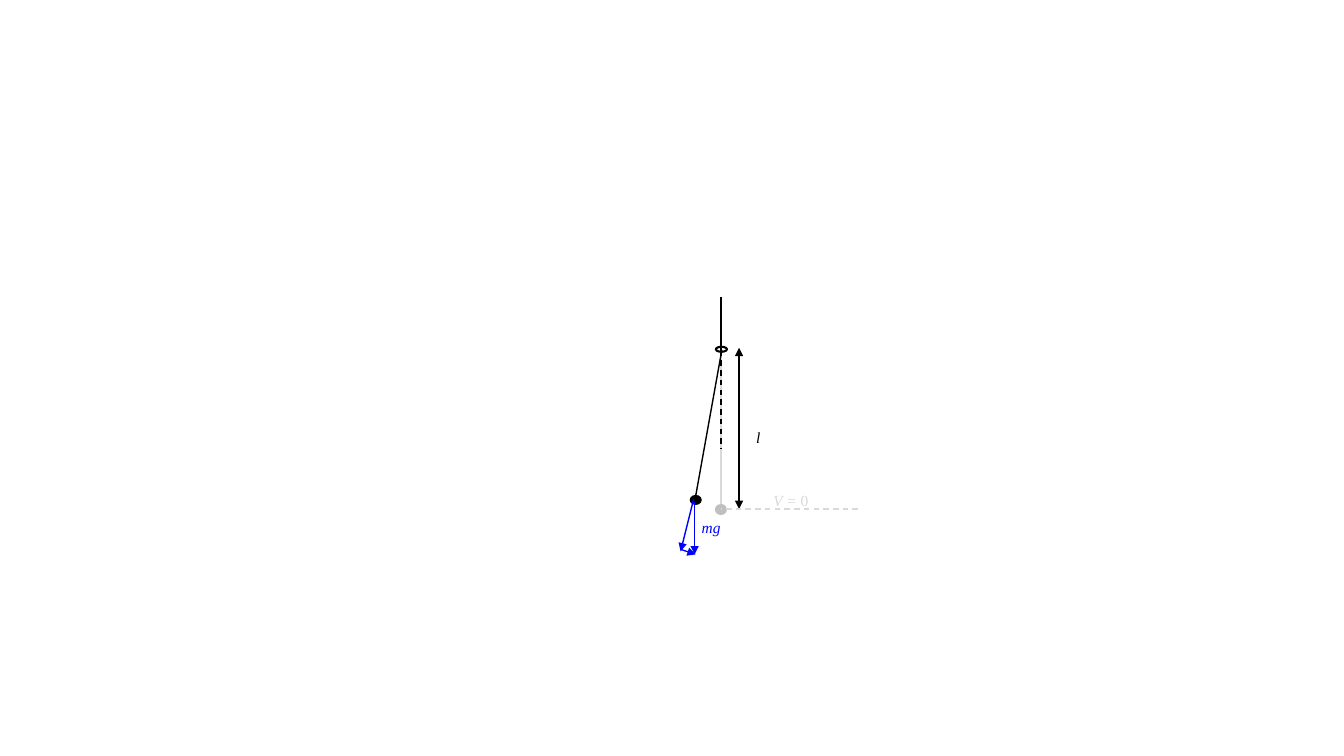
from lxml.etree import SubElement
from pptx import Presentation
from pptx.dml.color import RGBColor
from pptx.enum.dml import MSO_LINE
from pptx.enum.shapes import MSO_CONNECTOR, MSO_SHAPE
from pptx.enum.text import MSO_AUTO_SIZE
from pptx.oxml.ns import qn
from pptx.util import Inches, Pt

COLORS = {"ink": "000000", "force": "0000FF", "pale": "D9D9D9", "rest": "BFBFBF"}
AXIS, PIVOT, BASE = 7.15, 3.48, 5.05

# start, end, colour, dashed, arrowheads
RODS = [
    ((AXIS, PIVOT), (AXIS, 5.07), "pale", False, ()),
    ((AXIS, PIVOT), (AXIS, 4.45), "ink", True, ()),
    ((7.16, 3.47), (6.9, 4.92), "ink", False, ()),
    ((AXIS, 2.95), (AXIS, PIVOT), "ink", False, ()),
]
FORCES = [
    ((7.33, 3.45), (7.33, BASE), "ink", False, ("headEnd", "tailEnd")),
    ((6.89, 4.99), (6.89, 5.22), "ink", True, ()),
    ((6.75, 5.45), (6.9, 5.5), "force", False, ("tailEnd",)),
    ((6.89, 4.98), (6.89, 5.5), "force", False, ("tailEnd",)),
    ((6.88, 4.95), (6.75, 5.47), "force", False, ("tailEnd",)),
]
LEVEL = ((8.51, BASE), (AXIS, BASE), "pale", True, ())

# left, top, width, height, fill, outline
BOB = (6.84, 4.91, 0.12, 0.1, "ink", None)
RING = (7.1, 3.44, 0.11, 0.05, None, "ink")
REST = (7.09, 5, 0.12, 0.11, "rest", None)

# left, top, width, colour, runs of (text, italic)
LABELS = [
    (7.67, 4.87, 0.57, "pale", [("V = ", True), ("0", False)]),
    (7.5, 4.25, 0.29, "ink", [("l", True)]),
    (6.96, 5.14, 0.26, "force", [("mg", True)]),
]


def color(name):
    return RGBColor.from_string(COLORS[name])


def add_line(shapes, start, end, hue, dashed, heads):
    ends = [Inches(v) for v in (*start, *end)]
    line = shapes.add_connector(MSO_CONNECTOR.STRAIGHT, *ends)
    line.line.color.rgb = color(hue)
    line.line.width = Pt(1)
    if dashed:
        line.line.dash_style = MSO_LINE.DASH
    props = line._element.spPr
    for head in heads:
        SubElement(props.find(qn("a:ln")), qn("a:" + head), type="triangle")
    SubElement(props, qn("a:effectLst"))


def add_dot(shapes, left, top, width, height, fill, edge):
    box = [Inches(v) for v in (left, top, width, height)]
    dot = shapes.add_shape(MSO_SHAPE.OVAL, *box)
    dot.shadow.inherit = False
    if fill:
        dot.fill.solid()
        dot.fill.fore_color.rgb = color(fill)
    else:
        dot.fill.background()
    if edge:
        dot.line.color.rgb = color(edge)
        dot.line.width = Pt(1.5)
    else:
        dot.line.fill.background()


def add_label(shapes, left, top, width, hue, runs):
    box = [Inches(v) for v in (left, top, width, 0.19)]
    frame = shapes.add_textbox(*box).text_frame
    form = {"margin_left": 0, "margin_right": 0, "margin_top": 0, "margin_bottom": 0,
            "word_wrap": True, "auto_size": MSO_AUTO_SIZE.SHAPE_TO_FIT_TEXT}
    for key, value in form.items():
        setattr(frame, key, value)
    for text, slant in runs:
        run = frame.paragraphs[0].add_run()
        run.text = text
        style = {"name": "Times New Roman", "size": Pt(11), "italic": slant}
        for key, value in style.items():
            setattr(run.font, key, value)
        run.font.color.rgb = color(hue)


def main():
    deck = Presentation()
    deck.slide_width, deck.slide_height = Inches(13.33), Inches(7.5)
    shapes = deck.slides.add_slide(deck.slide_layouts[6]).shapes
    for rod in RODS:
        add_line(shapes, *rod)
    for dot in (BOB, RING):
        add_dot(shapes, *dot)
    for force in FORCES:
        add_line(shapes, *force)
    add_dot(shapes, *REST)
    add_line(shapes, *LEVEL)
    for label in LABELS:
        add_label(shapes, *label)
    deck.save("out.pptx")


if __name__ == "__main__":
    main()
